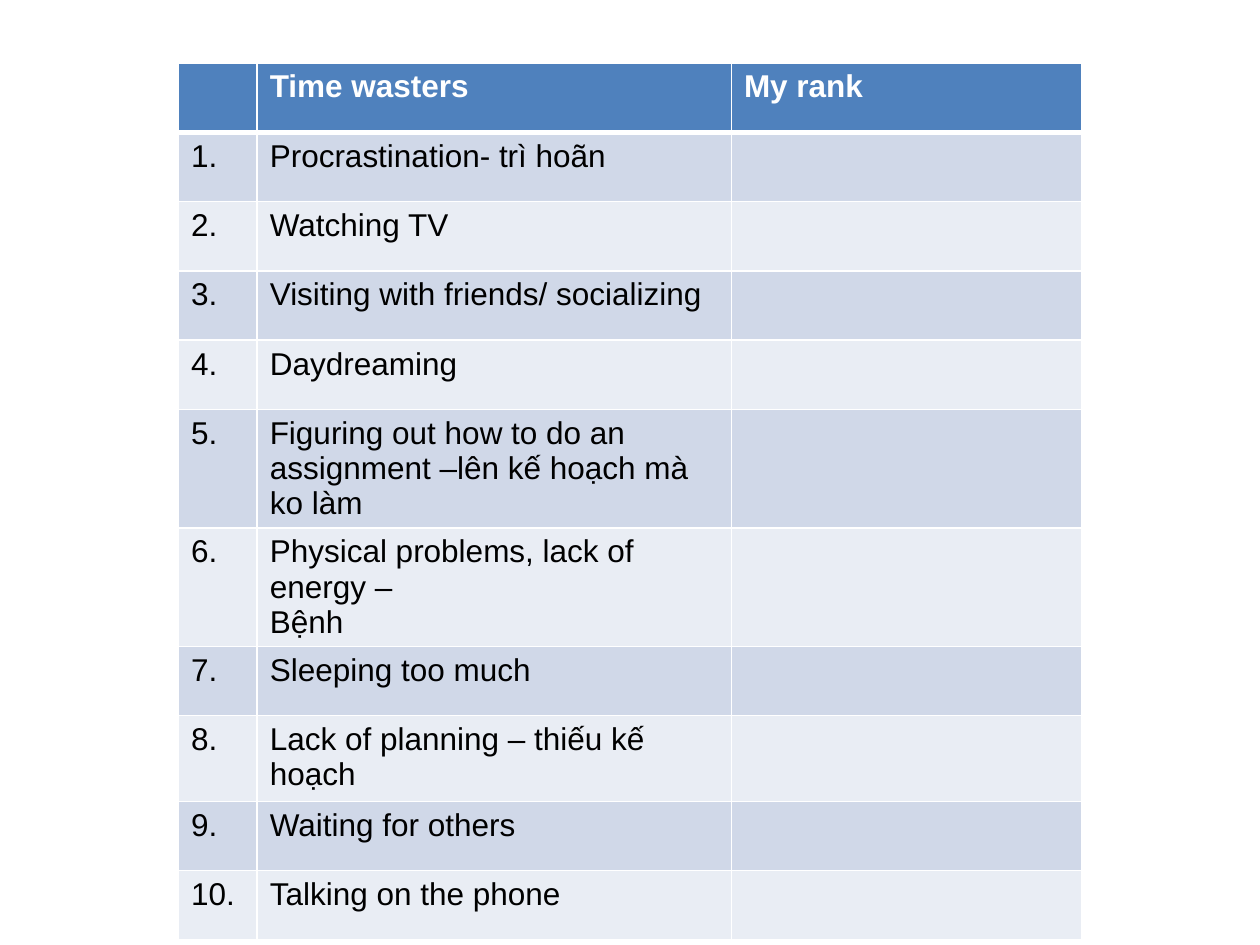
from lxml.etree import SubElement
from pptx import Presentation
from pptx.dml.color import RGBColor
from pptx.oxml.ns import qn
from pptx.util import Pt

FONT = "Arial"
WHITE, BLACK = "FFFFFF", "000000"
HEADER_FILL = "4F81BD"
BAND_FILLS = ("D0D8E8", "E9EDF4")
COLUMN_WIDTHS = (45, 271, 200)
ROW_HEIGHT = 39.6
TALL_ROWS = {5: 50.4, 8: 49}
HEADINGS = ("", "Time wasters", "My rank")
TIME_WASTERS = (
    "Procrastination- trì hoãn",
    "Watching TV",
    "Visiting with friends/ socializing",
    "Daydreaming",
    "Figuring out how to do an assignment –lên kế hoạch mà ko làm",
    "Physical problems, lack of energy –\nBệnh",
    "Sleeping too much",
    "Lack of planning – thiếu kế hoạch",
    "Waiting for others",
    "Talking on the phone",
)


def rgb(color):
    """Return the colour for a hex string."""
    return RGBColor.from_string(color)


def set_borders(cell, top, bottom):
    """Draw white cell borders, with the given top and bottom widths."""
    properties = cell._tc.get_or_add_tcPr()
    for side, width in (("L", 1), ("R", 1), ("T", top), ("B", bottom)):
        line = SubElement(properties, qn(f"a:ln{side}"), w=str(Pt(width)))
        fill = SubElement(line, qn("a:solidFill"))
        SubElement(fill, qn("a:srgbClr"), val=WHITE)


def write_text(cell, text, color, bold):
    """Write each line of text as one paragraph of the cell."""
    frame = cell.text_frame
    for index, line in enumerate(text.split("\n")):
        paragraph = frame.add_paragraph() if index else frame.paragraphs[0]
        run = paragraph.add_run()
        run.text = line
        run.font.name = FONT
        run.font.size = Pt(18)
        run.font.bold = bold
        run.font.color.rgb = rgb(color)


def format_cell(cell, text, row_index):
    """Give a cell its borders, fill and text according to its row."""
    is_header = row_index == 0
    set_borders(cell, 3 if row_index == 1 else 1, 3 if is_header else 1)
    cell.fill.solid()
    fill = HEADER_FILL if is_header else BAND_FILLS[(row_index - 1) % 2]
    cell.fill.fore_color.rgb = rgb(fill)
    if text:
        write_text(cell, text, WHITE if is_header else BLACK, is_header)


def add_ranking_table(slide):
    """Add the table of numbered time wasters with a column for ranks."""
    rows = [HEADINGS]
    rows += [(f"{number}.", name, "") for number, name in enumerate(TIME_WASTERS, 1)]
    heights = [TALL_ROWS.get(index, ROW_HEIGHT) for index in range(len(rows))]
    table = slide.shapes.add_table(
        len(rows), len(COLUMN_WIDTHS), Pt(102), Pt(36),
        Pt(sum(COLUMN_WIDTHS)), Pt(sum(heights)),
    ).table
    for column, width in zip(table.columns, COLUMN_WIDTHS):
        column.width = Pt(width)
    for row_index, (row, height, texts) in enumerate(zip(table.rows, heights, rows)):
        row.height = Pt(height)
        for cell, text in zip(row.cells, texts):
            format_cell(cell, text, row_index)


def main():
    """Build the slide and save the presentation."""
    presentation = Presentation()
    presentation.slide_width, presentation.slide_height = Pt(720), Pt(540)
    slide = presentation.slides.add_slide(presentation.slide_layouts[6])
    add_ranking_table(slide)
    presentation.save("out.pptx")


if __name__ == "__main__":
    main()
